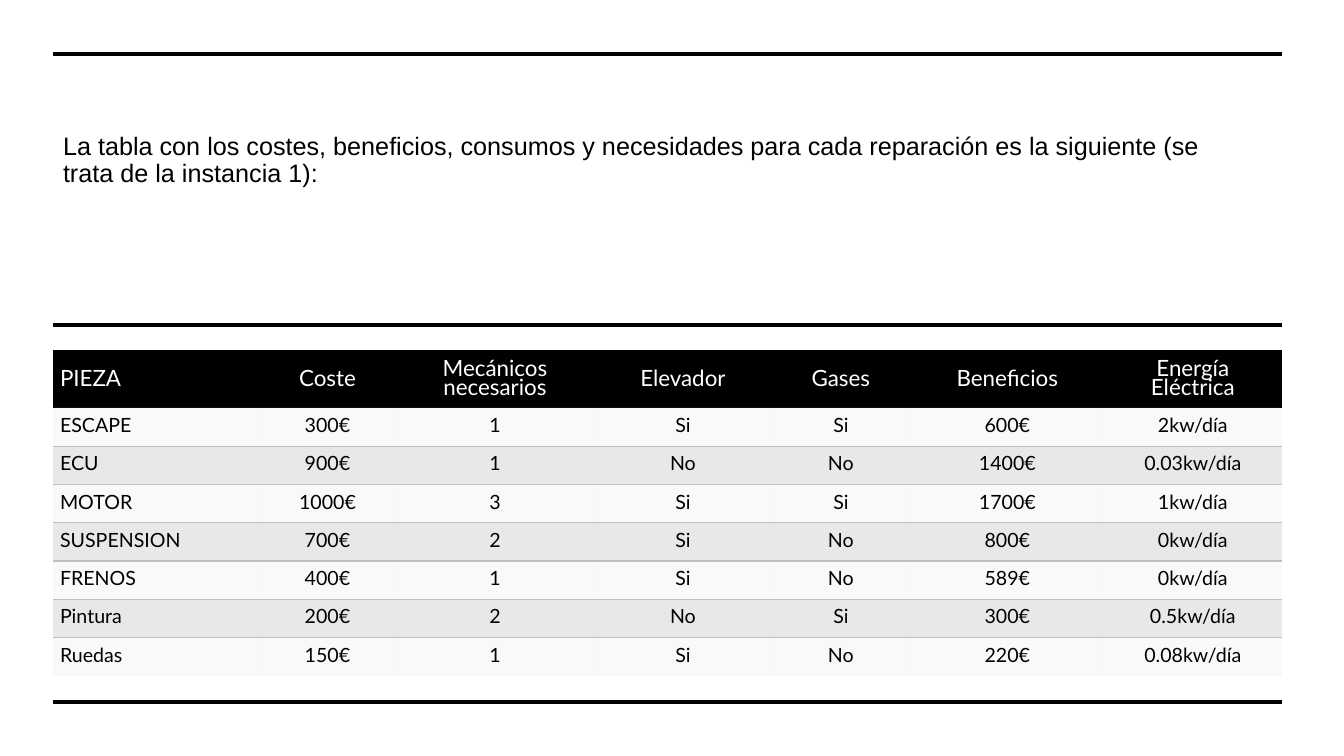
from dataclasses import dataclass

from lxml import etree
from pptx import Presentation
from pptx.dml.color import RGBColor
from pptx.enum.shapes import MSO_CONNECTOR
from pptx.enum.text import MSO_ANCHOR, MSO_AUTO_SIZE, PP_ALIGN
from pptx.oxml.ns import qn
from pptx.util import Pt

LEFT, CENTER = PP_ALIGN.LEFT, PP_ALIGN.CENTER
TOP, MIDDLE = MSO_ANCHOR.TOP, MSO_ANCHOR.MIDDLE
STRAIGHT, FIXED = MSO_CONNECTOR.STRAIGHT, MSO_AUTO_SIZE.NONE

# Content
INTRO = ("La tabla con los costes, beneficios, consumos y necesidades para cada "
         "reparación es la siguiente (se trata de la instancia 1):")
HEAD = ("PIEZA", "Coste", "Mecánicos necesarios", "Elevador", "Gases",
        "Beneficios", "Energía\nEléctrica")
PARTS = [
    ("ESCAPE", "300€", "1", "Si", "Si", "600€", "2kw/día"),
    ("ECU", "900€", "1", "No", "No", "1400€", "0.03kw/día"),
    ("MOTOR", "1000€", "3", "Si", "Si", "1700€", "1kw/día"),
    ("SUSPENSION", "700€", "2", "Si", "No", "800€", "0kw/día"),
    ("FRENOS", "400€", "1", "Si", "No", "589€", "0kw/día"),
    ("Pintura", "200€", "2", "No", "Si", "300€", "0.5kw/día"),
    ("Ruedas", "150€", "1", "Si", "No", "220€", "0.08kw/día"),
]


# Theme
@dataclass(frozen=True)
class Theme:
    ink: str = "000000"
    paper: str = "FFFFFF"
    light: tuple = ("F2F2F2", 45)
    dark: tuple = ("BFBFBF", 35)
    edge: str = "BFBFBF"
    text_font: str = "Arial"
    grid_font: str = "Lato"
    intro: float = 18
    head: float = 16
    cell: float = 14
    lead: float = 13.5
    rule: float = 2.25
    thin: float = 1


THEME = Theme()

# Layout in px
WIDE, HIGH = 1344, 756
X0, X1 = 53, 1282
RULES = (54, 325, 702)
INTRO_BOX = (X0, 77, 1211, 221)
INTRO_PAD = (10, 5, 10, 59)
GRID_TOP, HEAD_H, BODY_H = 350, 58, 268
COLS = (207, 135, 200, 176, 140, 193, 178)
CELL_PAD = (7, 10, 7, 5)
PLAIN_GRID = "{2D5ABB26-0587-4C30-8999-92F81FD0307C}"


def px(n):
    return round(n * 12192000 / WIDE)


def rgb(code):
    return RGBColor.from_string(code)


def pad(obj, sides):
    names = ("margin_left", "margin_top", "margin_right", "margin_bottom")
    for name, n in zip(names, sides):
        setattr(obj, name, px(n))


def write(para, text, size, color, font, align, lead):
    para.alignment, para.line_spacing = align, lead
    run = para.add_run()
    run.text = text
    run.font.size, run.font.name = Pt(size), font
    run.font.color.rgb = rgb(color)


def fill(cell, color, alpha=100):
    cell.fill.solid()
    cell.fill.fore_color.rgb = rgb(color)
    if alpha < 100:
        tone = cell.fill._xPr.find(".//" + qn("a:srgbClr"))
        etree.SubElement(tone, qn("a:alpha"), val=str(alpha * 1000))


def border(cell, side):
    line = etree.Element(qn("a:" + side), w=str(Pt(THEME.thin)))
    solid = etree.SubElement(line, qn("a:solidFill"))
    etree.SubElement(solid, qn("a:srgbClr"), val=THEME.edge)
    cell.fill._xPr.insert(0, line)


def add_intro(slide):
    box = slide.shapes.title
    box.left, box.top, box.width, box.height = map(px, INTRO_BOX)
    frame = box.text_frame
    frame.word_wrap, frame.auto_size = True, FIXED
    frame.vertical_anchor = MIDDLE
    pad(frame, INTRO_PAD)
    write(frame.paragraphs[0], INTRO, THEME.intro, THEME.ink,
          THEME.text_font, LEFT, 0.9)


def add_rule(slide, y):
    rule = slide.shapes.add_connector(STRAIGHT, px(X0), px(y), px(X1), px(y))
    rule.line.color.rgb = rgb(THEME.ink)
    rule.line.width = Pt(THEME.rule)
    etree.SubElement(rule._element.spPr, qn("a:effectLst"))


def add_grid(slide):
    rows = [HEAD] + PARTS
    shape = slide.shapes.add_table(len(rows), len(COLS), px(X0), px(GRID_TOP),
                                   px(sum(COLS)), px(HEAD_H + BODY_H))
    shape._element.xpath(".//a:tableStyleId")[0].text = PLAIN_GRID
    grid = shape.table
    for col, wide in zip(grid.columns, COLS):
        col.width = px(wide)
    for r, row in enumerate(rows):
        grid.rows[r].height = px(BODY_H / len(PARTS) if r else HEAD_H)
        for c, text in enumerate(row):
            cell = grid.cell(r, c)
            pad(cell, CELL_PAD)
            cell.vertical_anchor = TOP if r else MIDDLE
            # Header, then light and dark rows in turn
            if r == 0:
                fill(cell, THEME.ink)
            else:
                fill(cell, *(THEME.light if r % 2 else THEME.dark))
                if r < len(PARTS):
                    border(cell, "lnB" if r % 2 else "lnT")
            for i, part in enumerate(text.split("\n")):
                frame = cell.text_frame
                para = frame.add_paragraph() if i else frame.paragraphs[0]
                write(para, part, THEME.cell if r else THEME.head,
                      THEME.ink if r else THEME.paper, THEME.grid_font,
                      CENTER if c else LEFT, Pt(THEME.lead))


def main():
    deck = Presentation()
    deck.slide_width, deck.slide_height = px(WIDE), px(HIGH)
    slide = deck.slides.add_slide(deck.slide_layouts[5])
    add_intro(slide)
    for y in RULES:
        add_rule(slide, y)
    add_grid(slide)
    deck.save("out.pptx")


if __name__ == "__main__":
    main()
